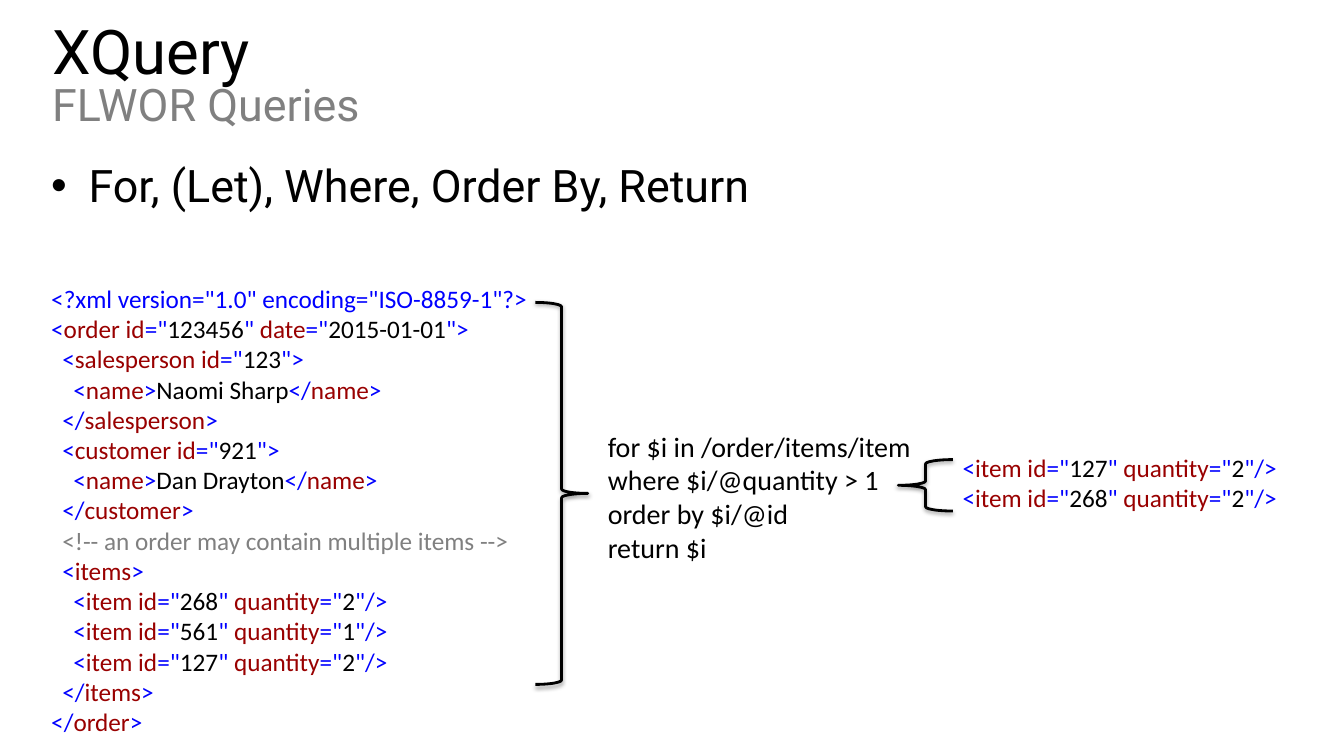
"""Build the XQuery FLWOR slide: an XML order, a query and its result."""
from itertools import groupby

from lxml.etree import SubElement
from pptx import Presentation
from pptx.dml.color import RGBColor
from pptx.enum.shapes import MSO_SHAPE as Preset
from pptx.enum.text import MSO_ANCHOR as Anchor
from pptx.oxml.ns import qn
from pptx.util import Inches, Pt

BLACK, WHITE, GREY = "000000", "FFFFFF", "808080"
MARKUP, NAME = "0000FF", "990000"

TITLE = [("XQuery", 44, BLACK), ("FLWOR Queries", 32, GREY)]
CLAUSES = "For, (Let), Where, Order By, Return"
ORDER = [
    (0, '<?xml version="1.0" encoding="ISO-8859-1"?>'),
    (0, '<order id="123456" date="2015-01-01">'),
    (1, '<salesperson id="123">'),
    (2, '<name>Naomi Sharp</name>'),
    (1, '</salesperson>'),
    (1, '<customer id="921">'),
    (2, '<name>Dan Drayton</name>'),
    (1, '</customer>'),
    (1, '<!-- an order may contain multiple items -->'),
    (1, '<items>'),
    (2, '<item id="268" quantity="2"/>'),
    (2, '<item id="561" quantity="1"/>'),
    (2, '<item id="127" quantity="2"/>'),
    (1, '</items>'),
    (0, '</order>'),
]
QUERY = [
    "for $i in /order/items/item",
    "where $i/@quantity > 1",
    "order by $i/@id",
    "return $i",
]
RESULT = [
    (0, '<item id="127" quantity="2"/>'),
    (0, '<item id="268" quantity="2"/>'),
]
BRACES = [
    (Preset.RIGHT_BRACE, (5.31, 3, 0.52, 3.79)),
    (Preset.LEFT_BRACE, (8.91, 4.56, 0.54, 0.51)),
]
LEVEL_INDENT = 0.11


def rgb(colour):
    return RGBColor.from_string(colour)


def add_text(box, anchor=Anchor.TOP):
    area = slide.shapes.add_textbox(*map(Inches, box))
    area.text_frame.word_wrap = True
    area.text_frame.vertical_anchor = anchor
    return area


def add_paragraphs(frame, count):
    return [frame.paragraphs[0]] + [frame.add_paragraph() for _ in range(count - 1)]


def set_font(font, family, size, colour=None):
    font.name, font.size = family, Pt(size)
    if colour:
        font.color.rgb = rgb(colour)


def indent(paragraph, left, first=0):
    properties = paragraph._p.get_or_add_pPr()
    properties.set("marL", str(Inches(left)))
    properties.set("indent", str(Inches(first)))
    return properties


def xml_colours(line):
    if line.startswith("<?"):
        return [MARKUP] * len(line)
    if line.startswith("<!--"):
        return [GREY] * len(line)
    colours, in_tag, in_value = [], False, False
    for char in line:
        if char in '<>"=' or (char == "/" and in_tag):
            colours.append(MARKUP)
        else:
            colours.append(NAME if in_tag and not in_value else BLACK)
        if char in "<>":
            in_tag = char == "<"
        if char == '"':
            in_value = not in_value
    return colours


def write_xml(frame, lines):
    for paragraph, (level, line) in zip(add_paragraphs(frame, len(lines)), lines):
        indent(paragraph, level * LEVEL_INDENT)
        set_font(paragraph.font, "Calibri", 18)
        for colour, pairs in groupby(zip(xml_colours(line), line), lambda pair: pair[0]):
            run = paragraph.add_run()
            run.text = "".join(char for _, char in pairs)
            run.font.color.rgb = rgb(colour)


def add_brace(preset, box):
    brace = slide.shapes.add_shape(preset, *map(Inches, box))
    brace.fill.background()
    brace.line.color.rgb = rgb(BLACK)
    brace.line.width = Pt(2)
    brace.shadow.inherit = False
    effects = brace._element.spPr.find(qn("a:effectLst"))
    shadow = SubElement(effects, qn("a:outerShdw"), blurRad=str(Pt(3.1)),
                        dist=str(Pt(1.6)), dir="5400000", rotWithShape="0")
    tint = SubElement(shadow, qn("a:srgbClr"), val=BLACK)
    SubElement(tint, qn("a:alpha"), val="38000")


deck = Presentation()
deck.slide_width, deck.slide_height = Inches(13.33), Inches(7.5)
slide = deck.slides.add_slide(deck.slide_layouts[6])

clauses = add_text((0.41, 1.52, 12.6, 1)).text_frame.paragraphs[0]
clauses.text = CLAUSES
set_font(clauses.font, "Roboto", 32, BLACK)
bullet = indent(clauses, 0.37, -0.37)
bullet_font = SubElement(bullet, qn("a:buFont"), typeface="Arial")
bullet_char = SubElement(bullet, qn("a:buChar"), char="•")
bullet.remove(bullet.find(qn("a:defRPr")))
bullet.extend([bullet_font, bullet_char])
set_font(clauses.font, "Roboto", 32, BLACK)

order = add_text((0.41, 2.76, 12.54, 4.64))
order.fill.solid()
order.fill.fore_color.rgb = rgb(WHITE)
write_xml(order.text_frame, ORDER)

heading = add_text((0.42, 0.2, 12.6, 1.16), Anchor.MIDDLE).text_frame.paragraphs[0]
heading.line_spacing = 0.8
for position, (words, size, colour) in enumerate(TITLE):
    if position:
        heading.add_line_break()
    run = heading.add_run()
    run.text = words
    set_font(run.font, "Roboto", size, colour)

query = add_text((5.93, 4.21, 3.42, 1.45)).text_frame
for clause, line in zip(add_paragraphs(query, len(QUERY)), QUERY):
    clause.text = line
    set_font(clause.font, "Calibri", 20, BLACK)

write_xml(add_text((9.45, 4.44, 3.67, 0.71)).text_frame, RESULT)

for preset, box in BRACES:
    add_brace(preset, box)

deck.save("out.pptx")
